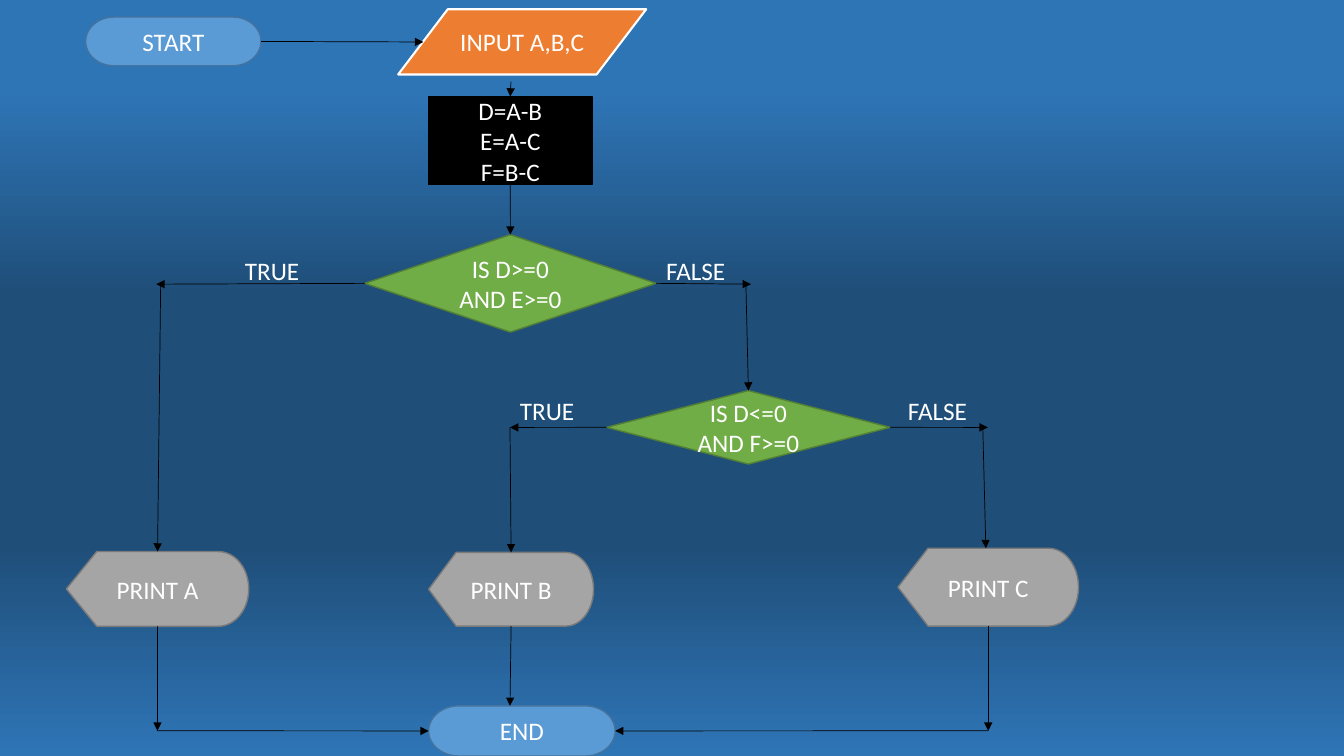
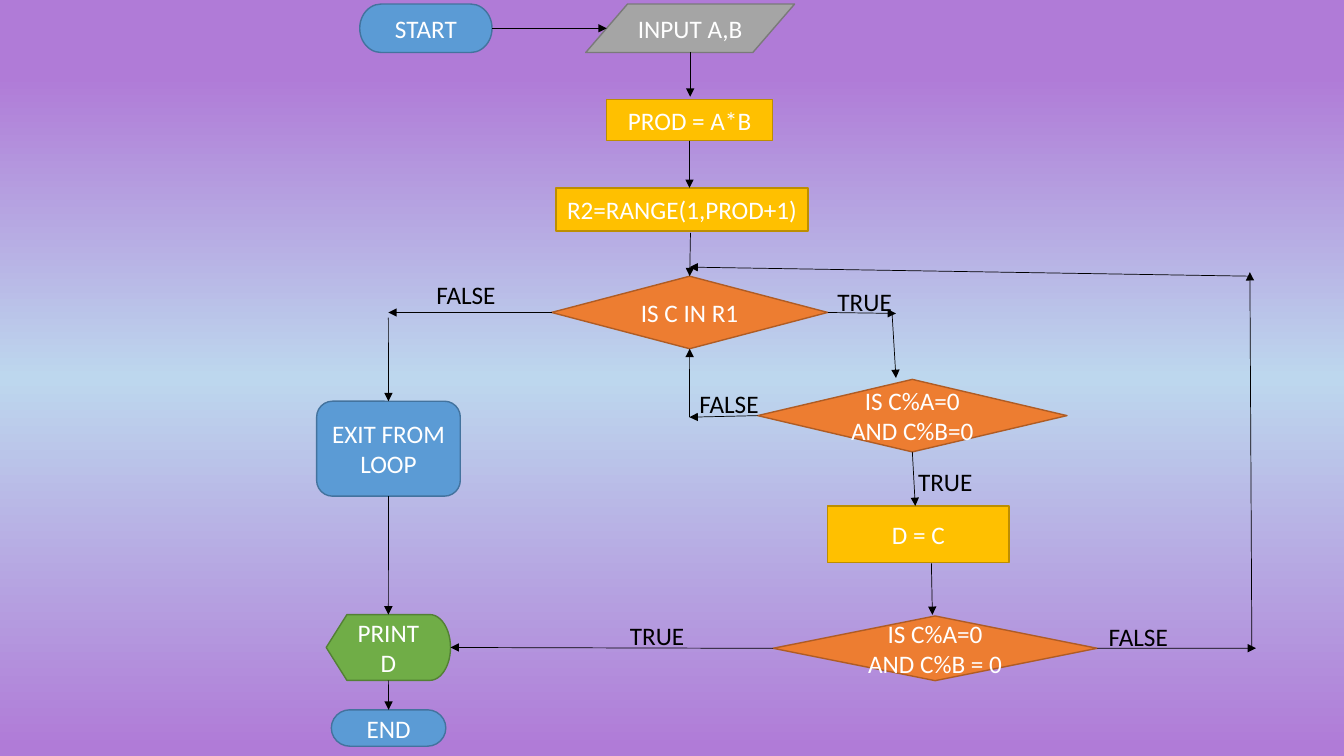
from lxml import etree
from pptx import Presentation
from pptx.dml.color import RGBColor
from pptx.enum.shapes import MSO_CONNECTOR, MSO_SHAPE
from pptx.enum.text import MSO_ANCHOR, MSO_AUTO_SIZE, PP_ALIGN
from pptx.oxml.ns import qn
from pptx.util import Pt

COLORS = {
    "blue": "5B9BD5", "blue edge": "43739E",
    "green": "70AD47", "green edge": "538035",
    "gray": "A5A5A5", "gray edge": "7A7A7A",
    "gold": "FFC000", "gold edge": "BD8E00",
    "orange": "ED7D31", "orange edge": "AF5C24",
    "black": "000000", "black edge": "000000", "white": "FFFFFF",
    "deep blue": "1F4E79", "mid blue": "2E75B6",
    "purple": "B07BD7", "pale blue": "BDD7EE",
}
KINDS = {
    "terminal": MSO_SHAPE.FLOWCHART_TERMINATOR,
    "input": MSO_SHAPE.FLOWCHART_DATA,
    "process": MSO_SHAPE.RECTANGLE,
    "exit": MSO_SHAPE.FLOWCHART_ALTERNATE_PROCESS,
    "decision": MSO_SHAPE.FLOWCHART_DECISION,
    "display": MSO_SHAPE.FLOWCHART_DISPLAY,
}
SITES = {"top": 0, "left": 1, "bottom": 2, "right": 3}
FONT, TEXT_SIZE, LABEL_HEIGHT = "Calibri", 18, 29

largest_of_three = {
    "background": [(12, "mid blue"), (39, "deep blue"), (72, "deep blue"), (100, "mid blue")],
    "label color": "white",
    "nodes": {
        "start": ("terminal", "blue", 61.2, 12.2, 125.3, 34.8, "START"),
        "input": ("input", "orange", 284.4, 6.6, 177.2, 46.6, "INPUT A,B,C"),
        "differences": ("process", "black", 306, 69, 117, 63, "D=A-B\nE=A-C\nF=B-C"),
        "is A largest": ("decision", "green", 260.6, 167.6, 208, 69.6, "IS D>=0 AND E>=0"),
        "is B largest": ("decision", "green", 433.4, 279, 202.4, 52.5, "IS D<=0 AND F>=0"),
        "print A": ("display", "gray", 47.4, 394, 130.3, 53.4, "PRINT A"),
        "print B": ("display", "gray", 306.2, 394.6, 117.8, 52.6, "PRINT B"),
        "print C": ("display", "gray", 641.4, 391.6, 129, 55.6, "PRINT C"),
        "end": ("terminal", "blue", 306.2, 504.2, 133.2, 35.8, "END"),
    },
    "arrows": [
        (("start", "right"), (302.4, 30)),
        ((365, 58.3), ("differences", "top")),
        (("differences", "bottom"), ("is A largest", "top")),
        (("is A largest", "left"), (111.6, 203)),
        ((114.8, 202.3), ("print A", "top")),
        (("is A largest", "right"), (536.4, 203)),
        ((532.8, 202.3), ("is B largest", "top")),
        (("is B largest", "left"), (364.3, 305.3)),
        ((364.3, 305.3), ("print B", "top")),
        (("is B largest", "right"), (705.6, 305.3)),
        ((702, 305.3), (704.2, 391.6)),
        (("print A", "bottom"), (112.5, 522)),
        ((112, 522), ("end", "left")),
        (("print B", "bottom"), (364.3, 504.2)),
        (("print C", "bottom"), (705.9, 522)),
        ((705.6, 522), ("end", "right")),
    ],
    "labels": [
        ("TRUE", 167.8, 178.6, 95), ("FALSE", 468.7, 178.6, 73.4),
        ("TRUE", 364.3, 279, 62.6), ("FALSE", 641.4, 279, 60),
    ],
}

common_multiple = {
    "background": [(10, "purple"), (50, "pale blue"), (99, "purple")],
    "label color": "black",
    "nodes": {
        "start": ("terminal", "blue", 257, 2.9, 94.5, 34.6, "START"),
        "input": ("input", "gray", 418.4, 2.9, 149.2, 34.6, "INPUT A,B"),
        "product": ("process", "gold", 433.2, 71.2, 118.8, 29.4, "PROD = A*B"),
        "range": ("process", "gold", 397.2, 134.2, 180, 30.9, "R2=RANGE(1,PROD+1)"),
        "in range": ("decision", "orange", 394, 197.3, 197.3, 51.8, "IS C IN R1"),
        "divides": ("decision", "orange", 541.2, 271, 221, 51.8, "IS C%A=0 AND C%B=0"),
        "assign": ("process", "gold", 591.2, 361.4, 129.6, 40.4, "D = C"),
        "recheck": ("decision", "orange", 552.2, 440, 231.6, 46.2, "IS C%A=0 AND C%B = 0"),
        "print D": ("display", "green", 233, 439, 88.8, 47, "PRINT D"),
        "exit": ("exit", "blue", 226.2, 286.6, 102.6, 67.8, "EXIT FROM LOOP"),
        "end": ("terminal", "blue", 236.7, 507, 81.8, 26, "END"),
    },
    "arrows": [
        (("start", "right"), (433.4, 20.2)),
        ((493, 37.4), (493, 69.1)),
        (("product", "bottom"), (492.5, 134.2)),
        ((493.2, 166.3), ("in range", "top")),
        (("in range", "left"), (277.4, 223.2)),
        ((277.4, 226.8), ("exit", "top")),
        (("exit", "bottom"), ("print D", "top")),
        (("print D", "bottom"), ("end", "top")),
        (("in range", "right"), (640, 223.9)),
        ((637.2, 223.9), (640, 270)),
        (("divides", "left"), (492.5, 298)),
        ((492.5, 298), ("in range", "bottom")),
        (("divides", "bottom"), (653.8, 361.4)),
        ((665.3, 402.5), (666, 439.2)),
        (("recheck", "left"), ("print D", "right")),
        (("recheck", "right"), (897.1, 463)),
        ((894.2, 462.2), (892.8, 194.4)),
        ((894.2, 197.3), (492.5, 190.8)),
    ],
    "labels": [
        ("FALSE", 304.6, 195.8, 97.2), ("TRUE", 591.1, 200.9, 60.5),
        ("FALSE", 492.5, 273.6, 62), ("TRUE", 648.7, 329.8, 79.2),
        ("FALSE", 784.8, 440, 80.6), ("TRUE", 442.8, 439.2, 98),
    ],
}


def rgb(name):
    return RGBColor.from_string(COLORS[name])


def write(frame, text, color, align):
    frame.word_wrap = True
    frame.text = text
    for paragraph in frame.paragraphs:
        paragraph.alignment = align
        font = paragraph.runs[0].font
        font.name, font.size = FONT, Pt(TEXT_SIZE)
        font.color.rgb = rgb(color)


deck = Presentation()
deck.slide_width, deck.slide_height = Pt(960), Pt(540)

for chart in (largest_of_three, common_multiple):
    slide = deck.slides.add_slide(deck.slide_layouts[6])
    fill = slide.background.fill
    fill.gradient()
    fill.gradient_angle = 270
    stops = slide.element.find(".//" + qn("a:gsLst"))
    for stop in list(stops):
        stops.remove(stop)
    for percent, color in chart["background"]:
        stop = etree.SubElement(stops, qn("a:gs"), pos=str(percent * 1000))
        etree.SubElement(stop, qn("a:srgbClr"), val=COLORS[color])

    nodes = {}
    for name, (kind, color, left, top, width, height, text) in chart["nodes"].items():
        node = slide.shapes.add_shape(KINDS[kind], Pt(left), Pt(top), Pt(width), Pt(height))
        node.shadow.inherit = False
        node.fill.solid()
        node.fill.fore_color.rgb = rgb(color)
        outlined = (kind, color) == ("input", "orange")
        node.line.color.rgb = rgb("white" if outlined else color + " edge")
        node.line.width = Pt(1.5 if outlined else 1)
        node.text_frame.vertical_anchor = MSO_ANCHOR.MIDDLE
        write(node.text_frame, text, "white", PP_ALIGN.CENTER)
        nodes[name] = node

    for start, finish in chart["arrows"]:
        points = [(0, 0) if isinstance(end[0], str) else end for end in (start, finish)]
        arrow = slide.shapes.add_connector(
            MSO_CONNECTOR.STRAIGHT, *[Pt(value) for point in points for value in point])
        for end, connect in ((start, arrow.begin_connect), (finish, arrow.end_connect)):
            if isinstance(end[0], str):
                connect(nodes[end[0]], SITES[end[1]])
        arrow.line.color.rgb = rgb("black")
        arrow.line.width = Pt(0.5)
        etree.SubElement(arrow.element.find(".//" + qn("a:ln")), qn("a:tailEnd"), type="triangle")
        etree.SubElement(arrow.element.spPr, qn("a:effectLst"))

    for text, left, top, width in chart["labels"]:
        label = slide.shapes.add_textbox(Pt(left), Pt(top), Pt(width), Pt(LABEL_HEIGHT))
        label.text_frame.auto_size = MSO_AUTO_SIZE.SHAPE_TO_FIT_TEXT
        write(label.text_frame, text, chart["label color"], PP_ALIGN.LEFT)

deck.save("out.pptx")
